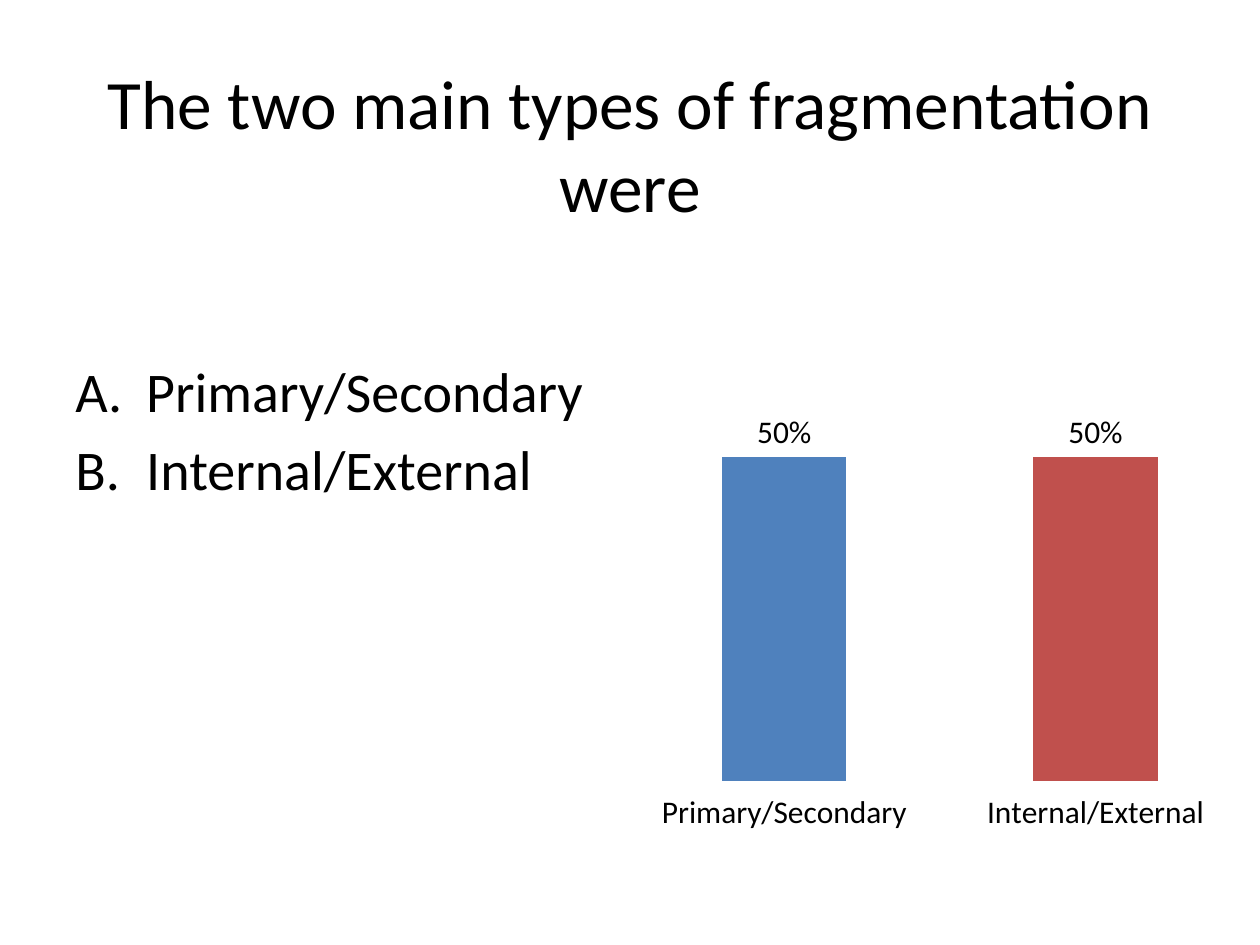
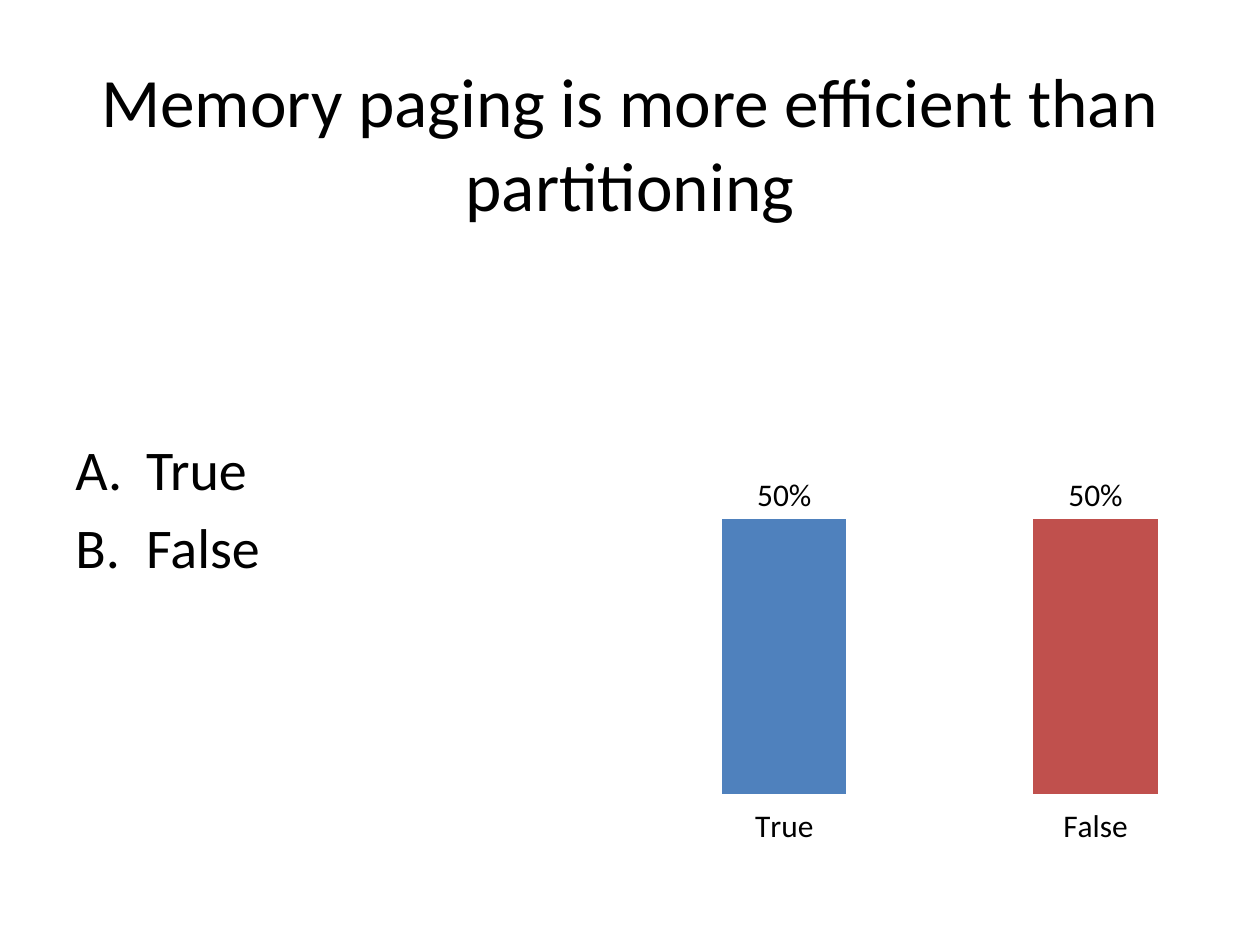
from lxml import etree
from pptx import Presentation
from pptx.chart.data import CategoryChartData
from pptx.dml.color import RGBColor
from pptx.enum.chart import XL_CHART_TYPE, XL_LABEL_POSITION, XL_TICK_LABEL_POSITION, XL_TICK_MARK
from pptx.enum.text import MSO_ANCHOR, PP_ALIGN
from pptx.oxml.ns import qn
from pptx.util import Pt

COLUMNS = XL_CHART_TYPE.COLUMN_CLUSTERED
LABEL_ABOVE = XL_LABEL_POSITION.OUTSIDE_END
NO_TICK_LABELS = XL_TICK_LABEL_POSITION.NONE
TICK_OUT = XL_TICK_MARK.OUTSIDE
MIDDLE, TOP = MSO_ANCHOR.MIDDLE, MSO_ANCHOR.TOP
CENTER = PP_ALIGN.CENTER

# Shared style
FONT = "Calibri"
BLACK = "000000"
BAR_COLORS = ("4F81BD", "C0504D")
PERCENT = "0%"
PLOT_AREA = {"x": 0.008, "y": 0.072, "w": 0.992, "h": 0.76}
MARGIN = 36
CHART_LEFT, CHART_BOTTOM = 355, 531
ANSWERS_BOTTOM = 482.4
INDENT = 40.5


def rgb(value):
    return RGBColor.from_string(value)


class PollDeck:
    """Slides with a question, lettered answers and a chart of the votes."""

    def __init__(self):
        self.prs = Presentation()
        self.prs.slide_width, self.prs.slide_height = Pt(720), Pt(540)
        self.s = None

    def new_slide(self):
        self.s = self.prs.slides.add_slide(self.prs.slide_layouts[6])

    def style_font(self, font, size):
        font.name, font.size = FONT, Pt(size)
        font.color.rgb = rgb(BLACK)

    def text_box(self, left, top, width, height, anchor):
        sp = self.s.shapes.add_textbox(Pt(left), Pt(top), Pt(width), Pt(height))
        tf = sp.text_frame
        tf.word_wrap = True
        tf.vertical_anchor = anchor
        return tf

    def title(self, text, top):
        tf = self.text_box(MARGIN, top, 648, 90, MIDDLE)
        tf.text = text
        p = tf.paragraphs[0]
        p.alignment = CENTER
        self.style_font(p.runs[0].font, 39.6)

    def answers(self, items, top):
        tf = self.text_box(MARGIN, top, 324, ANSWERS_BOTTOM - top, TOP)
        tf.text = "\n".join(items)
        for i, p in enumerate(tf.paragraphs):
            pPr = p._p.get_or_add_pPr()
            pPr.set("marL", str(Pt(INDENT)))
            pPr.set("indent", str(Pt(-INDENT)))
            etree.SubElement(pPr, qn("a:buFont"), typeface="+mj-lt")
            etree.SubElement(pPr, qn("a:buAutoNum"), type="alphaUcPeriod")
            if i:
                p.space_before = Pt(6.4)
            self.style_font(p.runs[0].font, 32)

    def votes_chart(self, categories, values, top):
        data = CategoryChartData(number_format=PERCENT)
        data.categories = categories
        data.add_series("Series 1", values)
        chart = self.s.shapes.add_chart(
            COLUMNS, Pt(CHART_LEFT), Pt(top), Pt(360), Pt(CHART_BOTTOM - top), data).chart
        chart.has_title = chart.has_legend = False
        self.style_font(chart.font, 18)

        # Axes
        for axis in (chart.category_axis, chart.value_axis):
            axis.has_major_gridlines = False
            axis.major_tick_mark = TICK_OUT
            axis.format.line.fill.background()
        axis = chart.value_axis
        axis.minimum_scale, axis.maximum_scale = 0, 0.6
        axis.tick_label_position = NO_TICK_LABELS
        axis.tick_labels.number_format = PERCENT
        axis.tick_labels.number_format_is_linked = False

        # Bars and their labels
        plot = chart.plots[0]
        plot.gap_width = 150
        plot.vary_by_categories = False
        series = plot.series[0]
        for i, color in enumerate(BAR_COLORS):
            fill = series.points[i].format.fill
            fill.solid()
            fill.fore_color.rgb = rgb(color)
        plot.has_data_labels = True
        labels = plot.data_labels
        labels.show_value = True
        labels.number_format = PERCENT
        labels.number_format_is_linked = False
        labels.position = LABEL_ABOVE
        self.style_font(labels.font, 18)
        self.place_plot(chart)

    def place_plot(self, chart):
        area = chart._chartSpace.chart.plotArea
        for old in area.findall(qn("c:layout")):
            area.remove(old)
        layout = etree.Element(qn("c:layout"))
        area.insert(0, layout)
        manual = etree.SubElement(layout, qn("c:manualLayout"))
        settings = {"layoutTarget": "outer", "xMode": "edge", "yMode": "edge", **PLOT_AREA}
        for name, value in settings.items():
            etree.SubElement(manual, qn("c:" + name), val=str(value))


# Question, answers, votes, top of title, top of answers and chart
POLLS = [
    ("The two main types of fragmentation were",
     ("Primary/Secondary", "Internal/External"), (0.5, 0.5), 36.7, 200),
    ("Memory paging is more efficient than partitioning",
     ("True", "False"), (0.5, 0.5), 36, 244.8),
]


def main():
    deck = PollDeck()
    for question, choices, votes, title_top, content_top in POLLS:
        deck.new_slide()
        deck.votes_chart(choices, votes, content_top)
        deck.title(question, title_top)
        deck.answers(choices, content_top)
    deck.prs.save("out.pptx")


if __name__ == "__main__":
    main()
